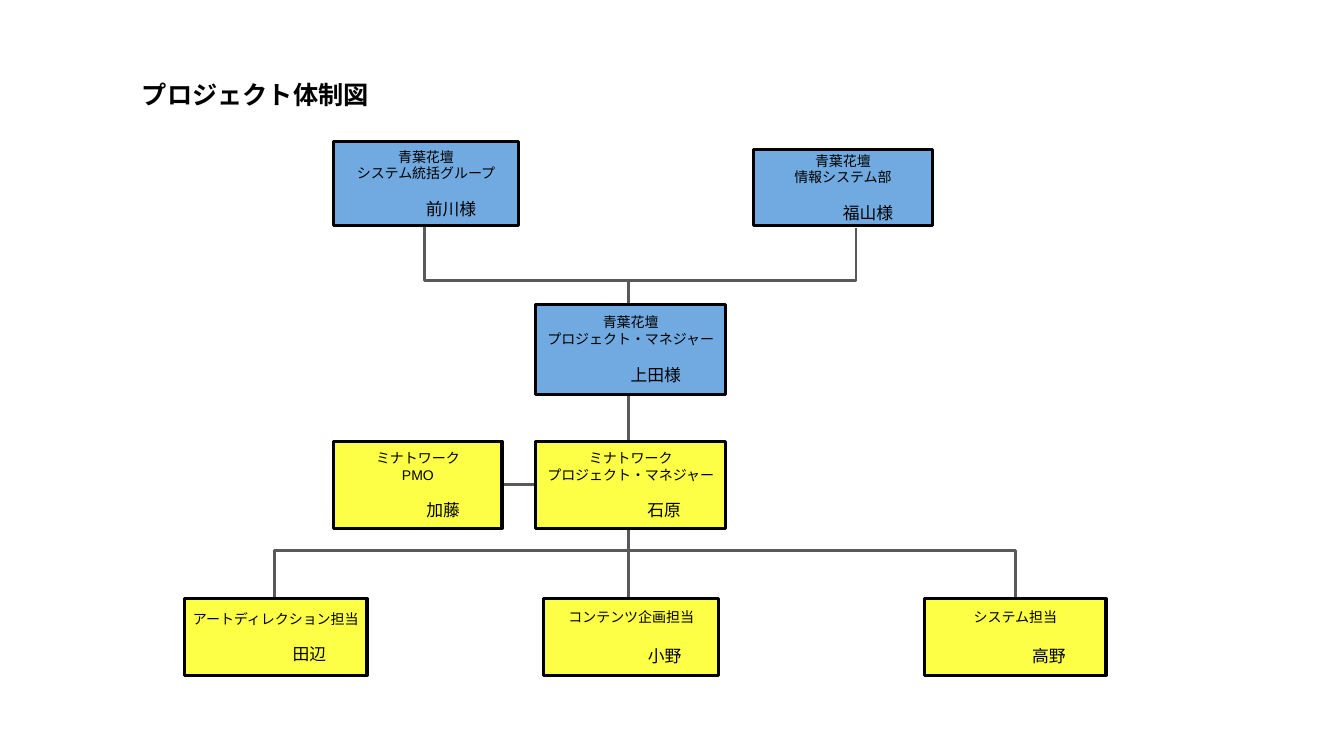
from dataclasses import dataclass

from lxml.etree import SubElement
from pptx import Presentation
from pptx.dml.color import RGBColor
from pptx.enum.shapes import MSO_CONNECTOR as Link, MSO_SHAPE as Preset
from pptx.enum.text import MSO_ANCHOR as Anchor, MSO_AUTO_SIZE as AutoSize, PP_ALIGN as Align
from pptx.oxml.ns import qn
from pptx.shapes.autoshape import Shape
from pptx.shapes.connector import Connector
from pptx.shapes.shapetree import SlideShapes
from pptx.text.text import _Paragraph as Paragraph
from pptx.util import Inches, Pt


@dataclass(frozen=True)
class Theme:
    font: str = "Arial"
    text: RGBColor = RGBColor(0x00, 0x00, 0x00)
    client: RGBColor = RGBColor(0x71, 0xAA, 0xE0)
    agency: RGBColor = RGBColor(0xFC, 0xFF, 0x45)
    link: RGBColor = RGBColor(0x59, 0x59, 0x59)
    title_size: int = 18
    role_size: int = 10
    name_size: int = 12
    border_width: float = 2.25
    link_width: float = 2


@dataclass(frozen=True)
class Member:
    left: float
    top: float
    width: float
    height: float
    fill: RGBColor
    role: tuple[str, ...]
    name: str
    name_shift: int
    name_gap: float = 12


@dataclass(frozen=True)
class Bracket:
    start: tuple[float, float]
    end: tuple[float, float]
    bar: float


THEME = Theme()
CLIENT = "青葉花壇"
AGENCY = "ミナトワーク"
MANAGER = "プロジェクト・マネジャー"

SYSTEM_GROUP = Member(3.31, 1.4, 1.83, 0.84, THEME.client,
                      (CLIENT, "システム統括グループ"), "前川様", 3)
IT_DEPARTMENT = Member(7.47, 1.48, 1.78, 0.76, THEME.client,
                       (CLIENT, "情報システム部"), "福山様", 3)
CLIENT_MANAGER = Member(5.31, 3.02, 1.89, 0.89, THEME.client,
                        (CLIENT, MANAGER), "上田様", 3)
AGENCY_MANAGER = Member(5.31, 4.38, 1.89, 0.86, THEME.agency,
                        (AGENCY, MANAGER), "石原", 4)
PMO = Member(3.31, 4.38, 1.67, 0.86, THEME.agency, (AGENCY, "PMO"), "加藤", 3)
SYSTEM_LEAD = Member(9.17, 5.94, 1.8, 0.76, THEME.agency,
                     ("システム担当",), "高野", 4, 14.5)
CONTENT_LEAD = Member(5.39, 5.94, 1.74, 0.76, THEME.agency,
                      ("コンテンツ企画担当",), "小野", 4, 14.5)
ART_LEAD = Member(1.83, 5.94, 1.81, 0.76, THEME.agency,
                  ("アートディレクション担当",), "田辺", 4)
MEMBERS = (SYSTEM_GROUP, IT_DEPARTMENT, CLIENT_MANAGER, AGENCY_MANAGER,
           PMO, SYSTEM_LEAD, CONTENT_LEAD, ART_LEAD)

CLIENT_BRACKET = Bracket((4.21, 2.24), (8.49, 2.26), 2.78)
TEAM_BRACKET = Bracket((2.72, 6.11), (10.07, 6.35), 5.46)


def style_text(paragraph: Paragraph, size: float, bold: bool = False) -> None:
    for run in paragraph.runs:
        run.font.name = THEME.font
        run.font.size = Pt(size)
        run.font.bold = bold
        run.font.color.rgb = THEME.text


def draw_link(shapes: SlideShapes, kind: Link, start: tuple[float, float],
              end: tuple[float, float]) -> Connector:
    link = shapes.add_connector(kind, *(Inches(value) for value in (*start, *end)))
    link.line.color.rgb = THEME.link
    link.line.width = Pt(THEME.link_width)
    SubElement(link._element.spPr, qn("a:effectLst"))
    return link


def draw_bracket(shapes: SlideShapes, bracket: Bracket) -> None:
    (start_x, start_y), (end_x, end_y) = bracket.start, bracket.end
    center_x, center_y = (start_x + end_x) / 2, (start_y + end_y) / 2
    span, drop = end_x - start_x, end_y - start_y
    link = draw_link(shapes, Link.ELBOW,
                     (center_x + drop / 2, center_y - span / 2),
                     (center_x - drop / 2, center_y + span / 2))
    properties = link._element.spPr
    properties.find(qn("a:xfrm")).set("rot", str(270 * 60000))
    adjustments = properties.find(qn("a:prstGeom")).find(qn("a:avLst"))
    bend = round((bracket.bar - start_y) / drop * 100000)
    SubElement(adjustments, qn("a:gd"), name="adj1", fmla=f"val {bend}")


def draw_member(shapes: SlideShapes, member: Member) -> Shape:
    box = shapes.add_shape(Preset.RECTANGLE, Inches(member.left), Inches(member.top),
                           Inches(member.width), Inches(member.height))
    box.shadow.inherit = False
    box.fill.solid()
    box.fill.fore_color.rgb = member.fill
    box.line.color.rgb = THEME.text
    box.line.width = Pt(THEME.border_width)
    frame = box.text_frame
    frame.word_wrap = False
    frame.vertical_anchor = Anchor.MIDDLE
    frame.text = "\n".join((*member.role, member.name))
    for paragraph in frame.paragraphs:
        paragraph.alignment = Align.CENTER
        style_text(paragraph, THEME.role_size)
    name_line = frame.paragraphs[-1]
    name_line.space_before = Pt(member.name_gap)
    indent = Pt(member.name_shift * THEME.name_size)
    name_line._p.get_or_add_pPr().set("marL", str(indent))
    style_text(name_line, THEME.name_size)
    return box


def draw_title(shapes: SlideShapes, title: str) -> None:
    heading = shapes.add_textbox(Inches(1.31), Inches(0.74), Inches(2.47), Inches(0.4))
    frame = heading.text_frame
    frame.word_wrap = False
    frame.auto_size = AutoSize.SHAPE_TO_FIT_TEXT
    frame.text = title
    style_text(frame.paragraphs[0], THEME.title_size, bold=True)


def main() -> None:
    deck = Presentation()
    deck.slide_width = Inches(13.33)
    deck.slide_height = Inches(7.5)
    shapes = deck.slides.add_slide(deck.slide_layouts[6]).shapes

    draw_bracket(shapes, CLIENT_BRACKET)
    pmo_link = draw_link(shapes, Link.STRAIGHT, (5.31, 4.81), (4.98, 4.81))
    draw_bracket(shapes, TEAM_BRACKET)
    draw_link(shapes, Link.STRAIGHT, (6.23, 2.8), (6.23, 6.15))

    boxes = {member: draw_member(shapes, member) for member in MEMBERS}
    pmo_link.begin_connect(boxes[AGENCY_MANAGER], 1)
    pmo_link.end_connect(boxes[PMO], 3)
    draw_title(shapes, "プロジェクト体制図")

    deck.save("out.pptx")


if __name__ == "__main__":
    main()
